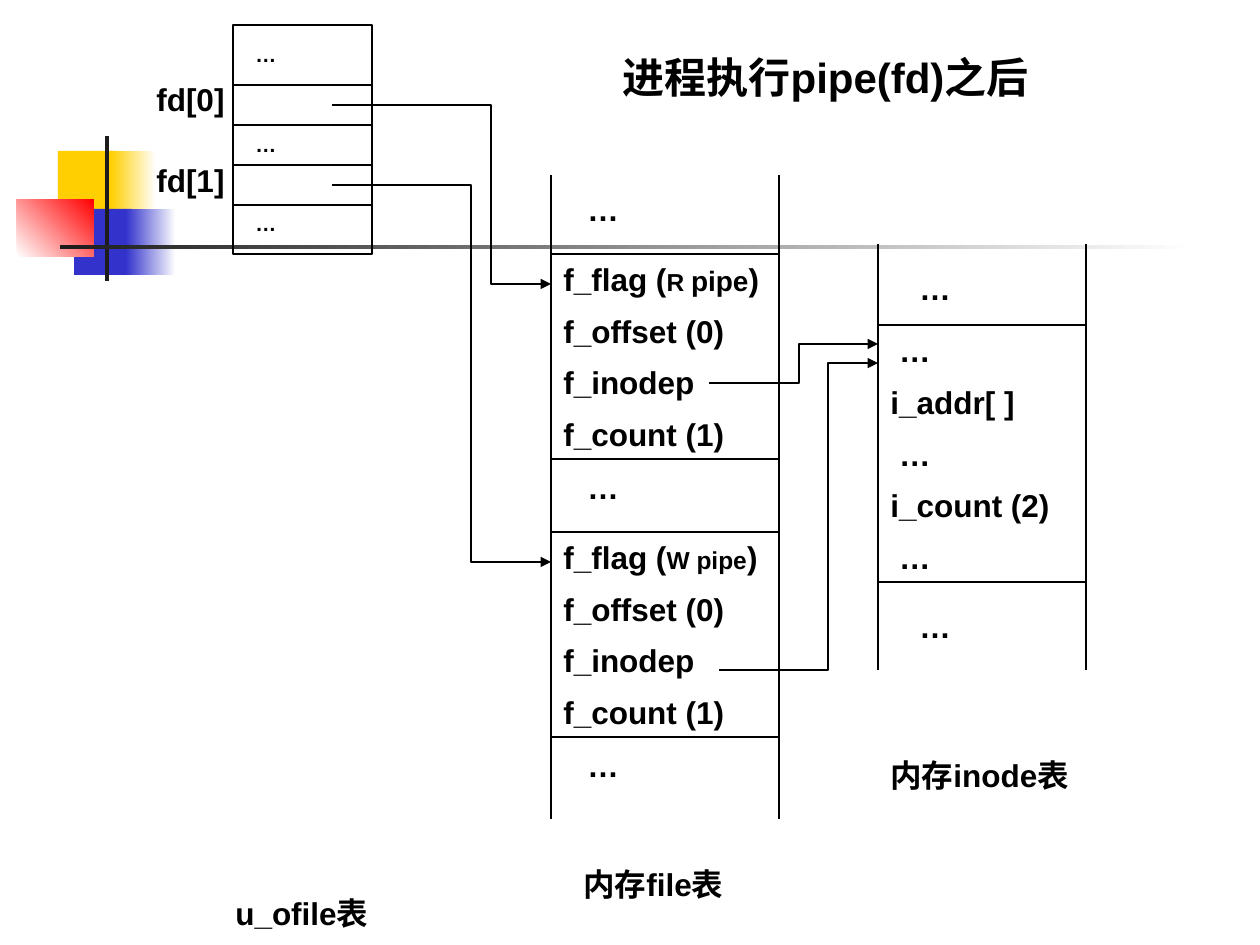
from pptx import Presentation
from pptx.dml.color import RGBColor as RGB
from pptx.enum.shapes import MSO_CONNECTOR as Link, MSO_SHAPE as Form
from pptx.enum.text import MSO_ANCHOR as Anchor, MSO_AUTO_SIZE as Auto, PP_ALIGN as Align
from pptx.oxml.ns import qn
from pptx.util import Pt
from lxml.etree import SubElement as Sub

SCALE = 914400 / 126
BLACK = RGB(0, 0, 0)
WHITE = RGB(255, 255, 255)
GOLD = RGB(0xFF, 0xCF, 0x01)
BLUE = RGB(0x33, 0x33, 0xCC)
RED = RGB(255, 0, 0)
DARK = RGB(0x1C, 0x1C, 0x1C)
FONT = {"name": "Arial", "bold": True}
FRAME = {"word_wrap": True, "auto_size": Auto.NONE, "vertical_anchor": Anchor.TOP}


def emu(*vals):
    return [round(v * SCALE) for v in vals]


def apply(item, style):
    for key, val in style.items():
        setattr(item, key, val)


class Board:
    def __init__(self, slide, gap=7.9):
        self.slide = slide
        self.shapes = slide.shapes
        self.gap = gap

    def fill_text(self, frame, rows, size):
        apply(frame, FRAME)
        for i, row in enumerate(rows):
            para = frame.add_paragraph() if i else frame.paragraphs[0]
            para.alignment = Align.LEFT
            para.space_before = Pt(self.gap if i else 0)
            for text, pts in [(row, size)] if isinstance(row, str) else row:
                run = para.add_run()
                run.text = text
                apply(run.font, FONT | {"size": Pt(pts)})
                run.font.color.rgb = BLACK

    def title(self, text, area, size):
        head = self.shapes.title
        apply(head, dict(zip(("left", "top", "width", "height"), emu(*area))))
        self.fill_text(head.text_frame, [text], size)

    def label(self, text, area, size=18):
        self.fill_text(self.shapes.add_textbox(*emu(*area)).text_frame, [text], size)

    def block(self, area, color, end=None, angle=0):
        shape = self.shapes.add_shape(Form.RECTANGLE, *emu(*area))
        shape.shadow.inherit = False
        shape.line.fill.background()
        if end is None:
            shape.fill.solid()
            shape.fill.fore_color.rgb = color
            return
        shape.fill.gradient()
        shape.fill.gradient_angle = angle
        for stop, tint in zip(shape.fill.gradient_stops, (color, end)):
            stop.color.rgb = tint

    def stroke(self, line, width=1.5):
        line.color.rgb = BLACK
        line.width = Pt(width)

    def box(self, area, rows=()):
        shape = self.shapes.add_shape(Form.RECTANGLE, *emu(*area))
        shape.shadow.inherit = False
        shape.fill.background()
        self.stroke(shape.line)
        self.fill_text(shape.text_frame, rows, 18)

    def rule(self, ends, width=1.5):
        link = self.shapes.add_connector(Link.STRAIGHT, *emu(*ends))
        self.stroke(link.line, width)
        Sub(link._element.spPr, qn("a:effectLst"))

    def arrow(self, x, y, bend, tip, drop):
        pen = self.shapes.build_freeform(x, y, scale=SCALE)
        pen.add_line_segments([(bend, y), (bend, drop), (tip, drop)], close=False)
        shape = pen.convert_to_shape()
        shape.shadow.inherit = False
        shape.fill.background()
        self.stroke(shape.line)
        Sub(shape._element.spPr.find(qn("a:ln")), qn("a:tailEnd"), type="triangle")


def main():
    deck = Presentation()
    deck.slide_width, deck.slide_height = emu(1260, 945)
    board = Board(deck.slides.add_slide(deck.slide_layouts[5]))

    board.block((58, 151, 60, 66), GOLD)
    board.block((111, 151, 45, 66), GOLD, WHITE)
    board.block((74, 209, 58, 66), BLUE)
    board.block((126, 209, 50, 66), BLUE, WHITE)
    board.block((17, 199, 77, 58), WHITE, RED, 45)
    board.block((105, 136, 4, 145), DARK)
    board.block((60, 245, 1134, 4), DARK, WHITE)

    board.title("进程执行pipe(fd)之后", (610, 45, 476, 63), 24)

    board.box((233, 25, 139, 229))
    for i in range(4):
        y = 85 + 40 * i
        board.rule((233, y, 372, y), 1.25)
    for y in (35, 125, 204):
        board.label("…", (243, y, 110, 38), 12)
    for i in range(2):
        board.label(f"fd[{i}]", (144, 74 + 81 * i, 100, 50))

    for x in (551, 779):
        board.rule((x, 175, x, 819))
    flags = [("R ", 14), ("pipe", 16)], [("W pipe", 14)]
    for y, flag in zip((254, 532), flags):
        first = [("f_flag (", 18), *flag, (")", 18)]
        board.box((551, y, 228, 205), [first, "f_offset (0)", "f_inodep", "f_count (1)"])
    for i in range(3):
        board.label("…", (575, 184 + 278 * i, 132, 50))

    for x in (878, 1086):
        board.rule((x, 244, x, 670))
    board.box((878, 325, 208, 257), [" …", "i_addr[ ]", " …", "i_count (2)", " …"])
    for y in (263, 601):
        board.label("…", (907, y, 118, 50))

    board.label("u_ofile表", (223, 888, 179, 50))
    board.label("内存file表", (571, 859, 179, 88))
    board.label("内存inode表", (878, 750, 208, 88))

    board.arrow(332, 105, 491, 551, 284)
    board.arrow(332, 185, 471, 551, 562)
    board.arrow(719, 670, 828, 878, 363)
    board.arrow(709, 383, 799, 878, 344)

    deck.save("out.pptx")


if __name__ == "__main__":
    main()
